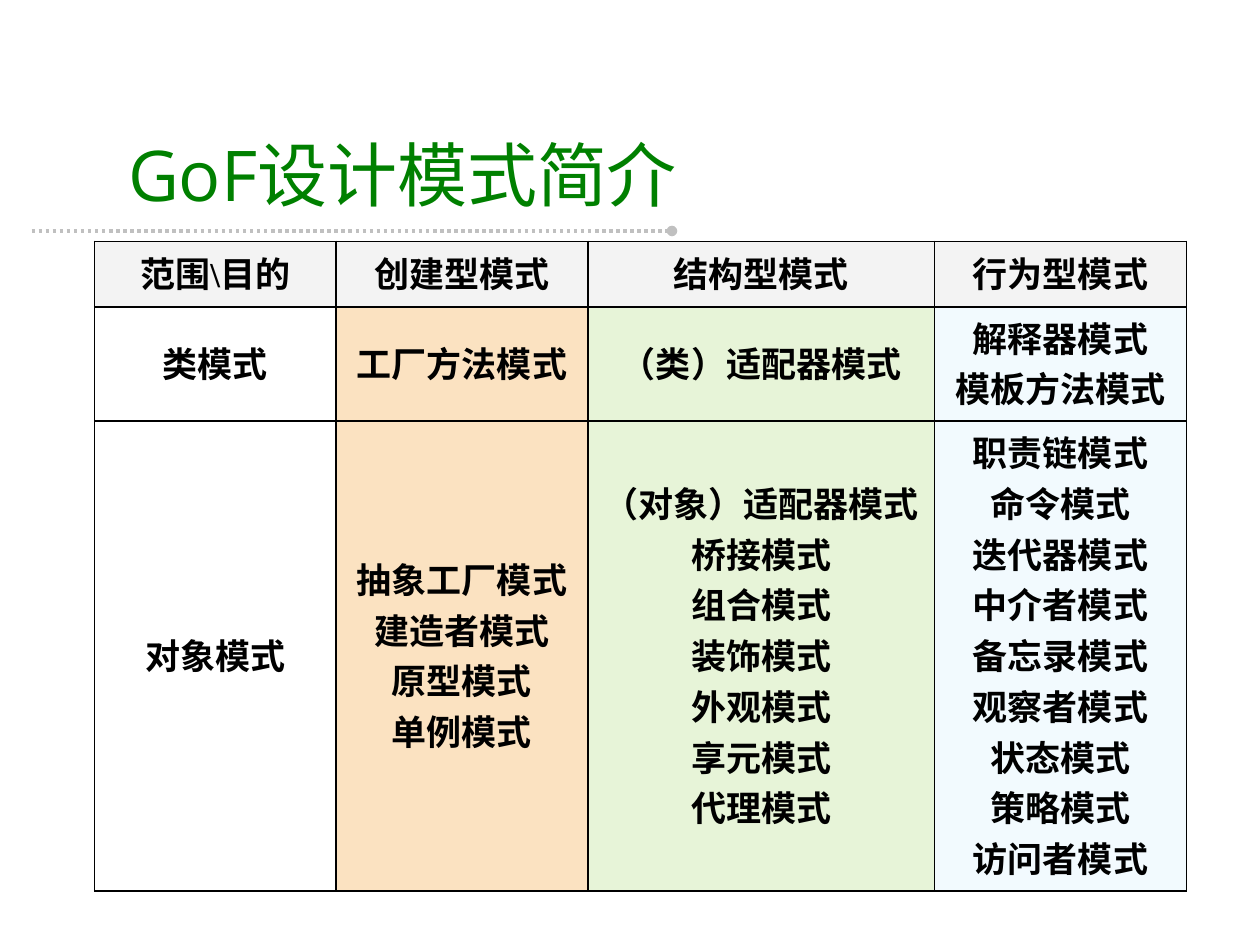
from lxml import etree
from pptx import Presentation
from pptx.dml.color import RGBColor
from pptx.enum import dml, shapes, text
from pptx.oxml import parse_xml
from pptx.oxml.ns import nsdecls, qn
from pptx.util import Pt

# Content: each cell is a list of lines
TITLE = "GoF设计模式简介 "
ROWS = [
    [["范围\\目的"], ["创建型模式"], ["结构型模式"], ["行为型模式"]],
    [["类模式"], ["工厂方法模式"], ["（类）适配器模式"], ["解释器模式", "模板方法模式"]],
    [["对象模式"],
     ["抽象工厂模式", "建造者模式", "原型模式", "单例模式"],
     ["（对象）适配器模式", "桥接模式", "组合模式", "装饰模式", "外观模式", "享元模式", "代理模式"],
     ["职责链模式", "命令模式", "迭代器模式", "中介者模式", "备忘录模式", "观察者模式",
      "状态模式", "策略模式", "访问者模式"]],
]
HEADER_FILL = ("F3F3F3", 100)
COLUMN_FILLS = [None, ("FBE2C1", 100), ("92D050", 22), ("00B0F0", 5)]  # colour, opacity %
COLUMN_WIDTHS = [138, 144, 198, 144]
ROW_HEIGHTS = [37.5, 65.1, 268.6]
HANGING = 27
LINE_GAP = 1.75


def rgb(value):
    return RGBColor.from_string(value)


def write(paragraph, words, size, font, color="000000", bold=False, align=None):
    run = paragraph.add_run()
    run.text = words
    run.font.size, run.font.bold, run.font.name = Pt(size), bold, font
    run.font.color.rgb = rgb(color)
    props = run.font._element
    props.set("lang", "zh-CN")
    etree.SubElement(props, qn("a:ea")).set("typeface", "Open Sans")
    paragraph.alignment = align


def add_borders(cell, color="000000", width=1):
    props = cell._tc.get_or_add_tcPr()
    for side in "LRTB":
        props.append(parse_xml(
            f'<a:ln{side} {nsdecls("a")} w="{Pt(width)}"><a:solidFill>'
            f'<a:srgbClr val="{color}"/></a:solidFill></a:ln{side}>'))


def paint(cell, fill):
    if fill is None:
        cell.fill.background()
        return
    color, opacity = fill
    cell.fill.solid()
    cell.fill.fore_color.rgb = rgb(color)
    if opacity < 100:
        tint = cell._tc.tcPr.find(qn("a:solidFill")).find(qn("a:srgbClr"))
        etree.SubElement(tint, qn("a:alpha")).set("val", str(opacity * 1000))


deck = Presentation()
deck.slide_width, deck.slide_height = Pt(720), Pt(540)
slide = deck.slides.add_slide(deck.slide_layouts[5])

# Title
title = slide.shapes.title
title.left, title.top, title.width, title.height = Pt(66), Pt(72), Pt(360), Pt(54)
title.text_frame.auto_size = text.MSO_AUTO_SIZE.NONE
title.text_frame.vertical_anchor = text.MSO_ANCHOR.MIDDLE
write(title.text_frame.paragraphs[0], TITLE, 40, "Open Sans", "008000",
      align=text.PP_ALIGN.LEFT)

# Dotted rule under the title, behind everything else
rule = slide.shapes.add_connector(shapes.MSO_CONNECTOR.STRAIGHT,
                                  Pt(18), Pt(132), Pt(384), Pt(132))
rule.line.color.rgb = rgb("C0C0C0")
rule.line.width = Pt(2)
rule.line.dash_style = dml.MSO_LINE.ROUND_DOT
etree.SubElement(rule.line._get_or_add_ln(), qn("a:tailEnd")).set("type", "oval")
etree.SubElement(rule._element.spPr, qn("a:effectLst"))
slide.shapes._spTree.insert(2, rule._element)

# Pattern table
patterns = slide.shapes.add_table(len(ROWS), len(COLUMN_WIDTHS), Pt(54), Pt(138),
                                  Pt(sum(COLUMN_WIDTHS)), Pt(sum(ROW_HEIGHTS))).table
patterns.first_row = patterns.horz_banding = False
for column, width in zip(patterns.columns, COLUMN_WIDTHS):
    column.width = Pt(width)
for r, (row, height) in enumerate(zip(ROWS, ROW_HEIGHTS)):
    patterns.rows[r].height = Pt(height)
    for c, lines in enumerate(row):
        cell = patterns.cell(r, c)
        cell.vertical_anchor = text.MSO_ANCHOR.MIDDLE
        add_borders(cell)
        paint(cell, COLUMN_FILLS[c] if r else HEADER_FILL)
        for i, line in enumerate(lines):
            frame = cell.text_frame
            paragraph = frame.add_paragraph() if i else frame.paragraphs[0]
            write(paragraph, line, 20, "Times New Roman", bold=True,
                  align=text.PP_ALIGN.CENTER)
            paragraph.space_before = Pt(LINE_GAP)
            props = paragraph._p.get_or_add_pPr()
            props.set("marL", str(Pt(HANGING)))
            props.set("indent", str(Pt(-HANGING)))

deck.save("out.pptx")
